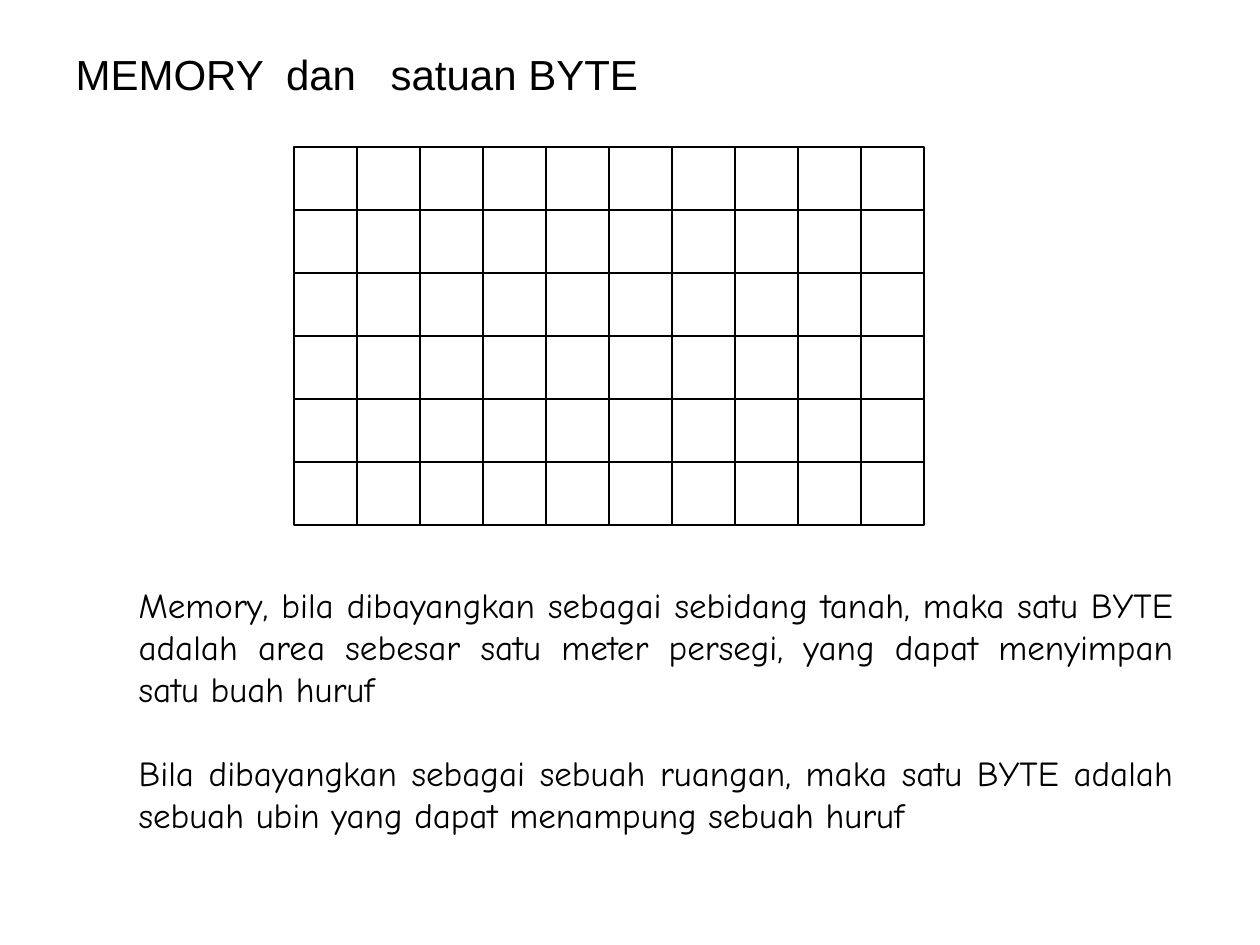
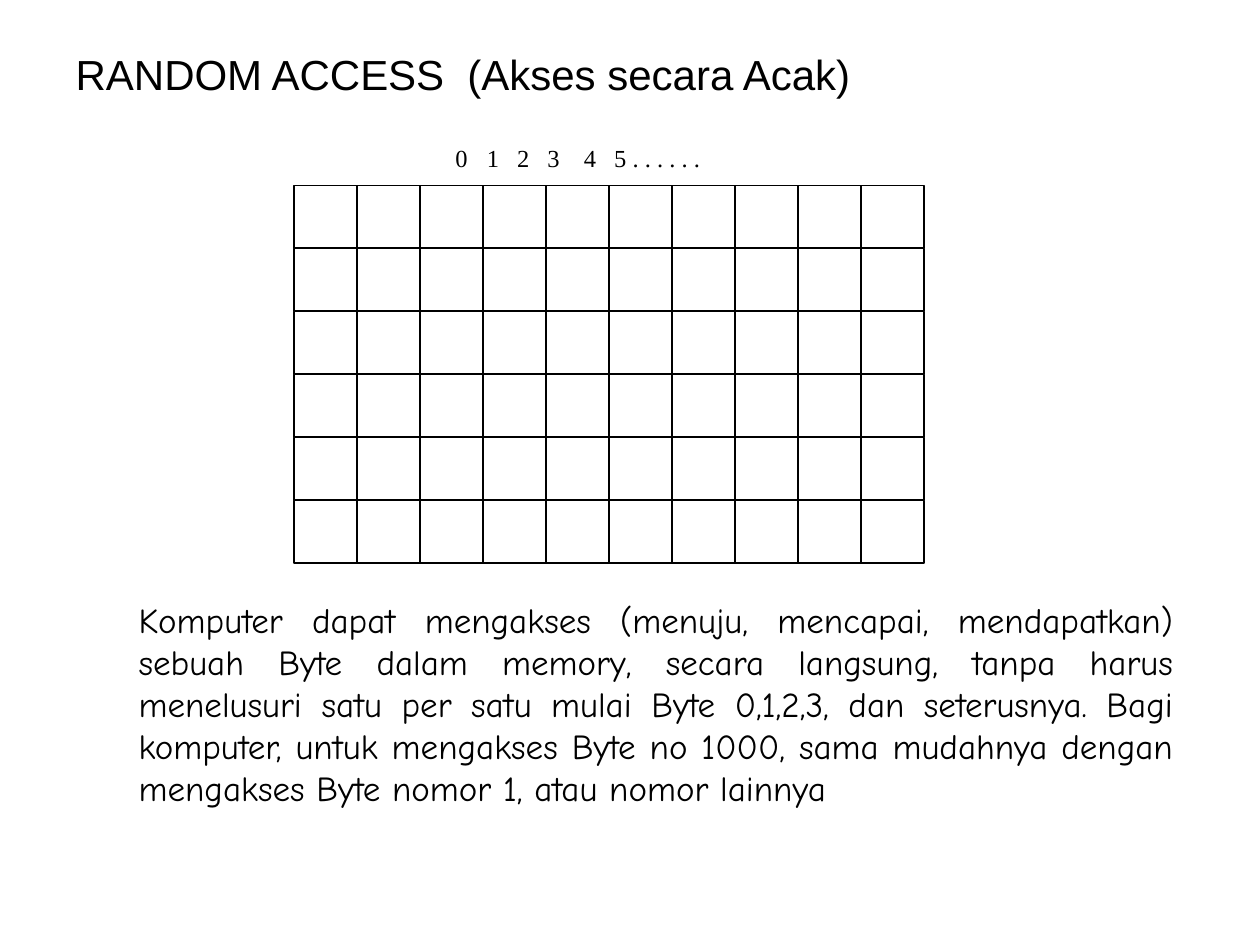
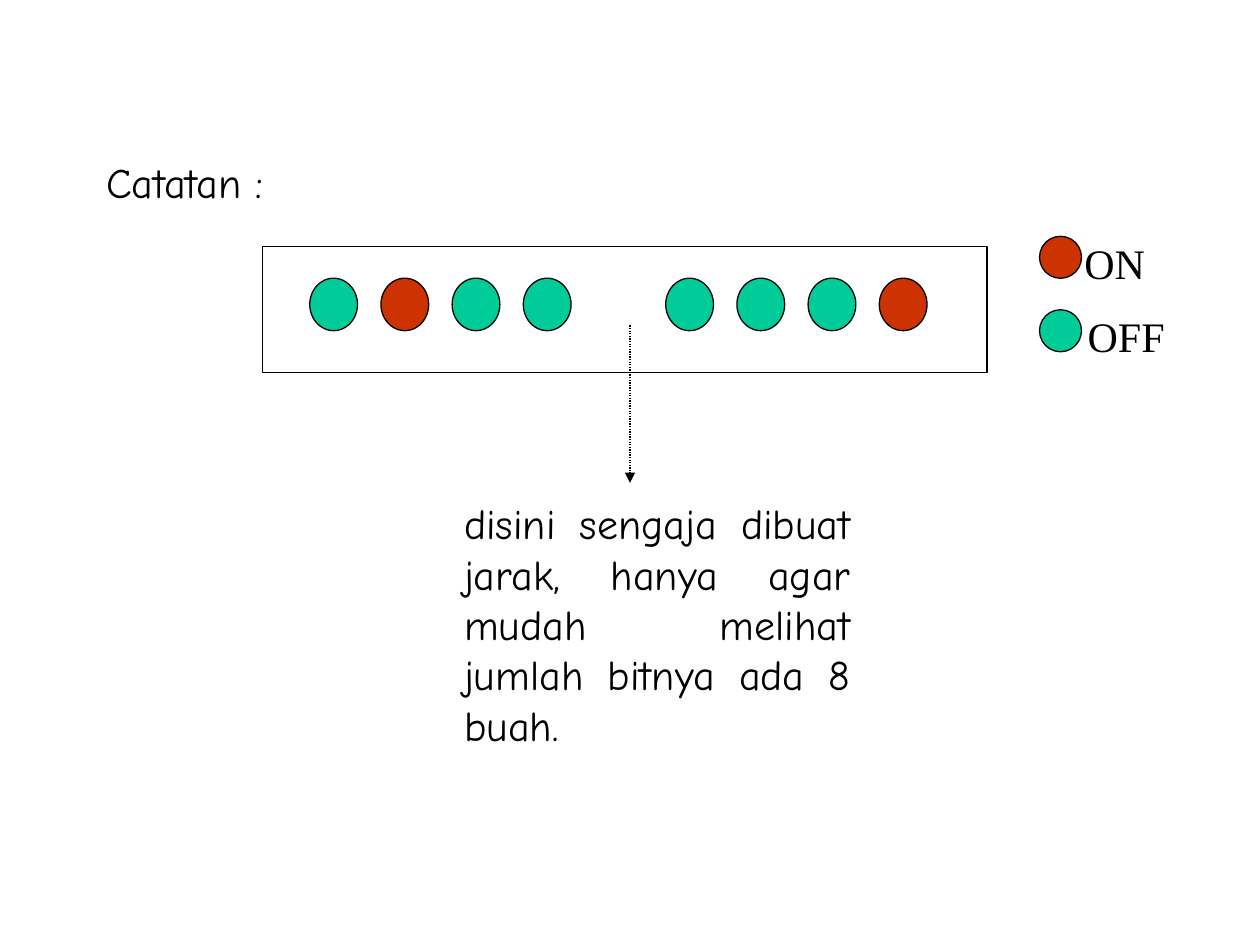
import pptx
import pptx.dml.color
import pptx.enum.dml
import pptx.enum.shapes
import pptx.enum.text
import pptx.oxml
import pptx.oxml.ns
import pptx.util

COLORS = {"ink": "000000", "on": "CC3300", "off": "00CC99"}
FONTS = {"title": "Arial", "body": "Comic Neue", "label": "Times New Roman"}
COLUMNS, ROWS = 120, 90
RECTANGLE = pptx.enum.shapes.MSO_SHAPE.RECTANGLE
OVAL = pptx.enum.shapes.MSO_SHAPE.OVAL


def color(name):
    return pptx.dml.color.RGBColor.from_string(COLORS[name])


def add_element(parent, tag, **attributes):
    element = pptx.oxml.parse_xml(f"<a:{tag} {pptx.oxml.ns.nsdecls('a')}/>")
    for name, value in attributes.items():
        element.set(name, str(value))
    parent.append(element)
    return element


def write_text(box, text, *, font, size, justify=False, wrap=True, gap=0, tabs=()):
    """Fill a box, one paragraph a line; gap is in points, tabs are in inches."""
    frame = box.text_frame
    frame.word_wrap = wrap
    frame.auto_size = pptx.enum.text.MSO_AUTO_SIZE.NONE
    frame.vertical_anchor = pptx.enum.text.MSO_ANCHOR.TOP
    align = pptx.enum.text.PP_ALIGN
    for index, line in enumerate(text.split("\n")):
        para = frame.add_paragraph() if index else frame.paragraphs[0]
        para.alignment = align.JUSTIFY if justify else align.LEFT
        para.space_before = pptx.util.Pt(gap if index else 0)
        properties = para._p.get_or_add_pPr()
        if tabs:  # an explicit indent would make LibreOffice drop the tab stops
            stops = add_element(properties, "tabLst")
            for stop in tabs:
                add_element(stops, "tab", pos=pptx.util.Inches(stop), algn="l")
        else:
            properties.set("marL", "0")
            properties.set("indent", "0")
            add_element(properties, "buNone")
        span = para.add_run()
        span.text = line
        span.font.name = FONTS[font]
        span.font.size = pptx.util.Pt(size)
        span.font.color.rgb = color("ink")


class Board:
    """Draws on the current page; places are in columns and rows of its grid."""

    def __init__(self):
        self.deck = pptx.Presentation()
        self.deck.slide_width = pptx.util.Inches(10)
        self.deck.slide_height = pptx.util.Inches(7.5)
        self.page = None

    def place(self, column, row):
        return (round(column * self.deck.slide_width / COLUMNS),
                round(row * self.deck.slide_height / ROWS))

    def new_page(self):
        self.page = self.deck.slides.add_slide(self.deck.slide_layouts[1])

    def fill_placeholder(self, index, text, area, **style):
        box = self.page.placeholders[index]
        box.left, box.top = self.place(*area[:2])
        box.width, box.height = self.place(*area[2:])
        write_text(box, text, **style)

    def title(self, text, area, font="title", **style):
        self.fill_placeholder(0, text, area, font=font, size=24, **style)

    def body(self, text, area, size=20):
        self.fill_placeholder(1, text, area, font="body", size=size, justify=True, gap=24)

    def label(self, text, area, **style):
        box = self.page.shapes.add_textbox(*self.place(*area[:2]), *self.place(*area[2:]))
        write_text(box, text, font="label", wrap=False, **style)

    def shape(self, kind, area, fill=None, group=None):
        shapes = (group or self.page).shapes
        shape = shapes.add_shape(kind, *self.place(*area[:2]), *self.place(*area[2:]))
        shape.shadow.inherit = False
        if fill:
            shape.fill.solid()
            shape.fill.fore_color.rgb = color(fill)
        else:
            shape.fill.background()
        shape.line.color.rgb = color("ink")
        shape.line.width = pptx.util.Pt(0.75)

    def memory_grid(self, top, left=28, cell=6, across=10, down=6):
        for row in range(down):
            for column in range(across):
                self.shape(RECTANGLE, (left + column * cell, top + row * cell, cell, cell))

    def dotted_arrow(self, start, end):
        arrow = self.page.shapes.add_connector(
            pptx.enum.shapes.MSO_CONNECTOR.STRAIGHT, *self.place(*start), *self.place(*end))
        arrow.line.color.rgb = color("ink")
        arrow.line.width = pptx.util.Pt(0.75)
        arrow.line.dash_style = pptx.enum.dml.MSO_LINE.ROUND_DOT
        add_element(arrow.line._get_or_add_ln(), "tailEnd", type="triangle")
        add_element(arrow._element.spPr, "effectLst")


def memory_page(board):
    board.new_page()
    board.title("MEMORY\tdan\tsatuan BYTE", (6, 4, 69, 6), tabs=(1.67, 2.5))
    board.memory_grid(top=14)
    board.body(
        "Memory, bila dibayangkan sebagai sebidang tanah, maka satu BYTE adalah area "
        "sebesar satu meter persegi, yang dapat menyimpan satu buah huruf\n"
        "Bila dibayangkan sebagai sebuah ruangan, maka satu BYTE adalah sebuah ubin "
        "yang dapat menampung sebuah huruf", (12, 55, 101, 25.2))


def random_access_page(board):
    board.new_page()
    board.title("RANDOM ACCESS\t(Akses secara Acak)", (6, 4, 96, 6), tabs=(3.11,))
    board.memory_grid(top=17.64)
    board.label("0\t1\t2\t3\t4\t5 . . . . . .", (42.2, 13, 26.4, 4), size=14,
                tabs=(0.25, 0.49, 0.73, 1.02, 1.26))
    board.body(
        "Komputer dapat mengakses (menuju, mencapai, mendapatkan) sebuah Byte dalam "
        "memory, secara langsung, tanpa harus menelusuri satu per satu mulai Byte "
        "0,1,2,3, dan seterusnya. Bagi komputer, untuk mengakses Byte no 1000, sama "
        "mudahnya dengan mengakses Byte nomor 1, atau nomor lainnya",
        (12, 56.4, 101, 21.2))


def bits_page(board):
    board.new_page()
    board.title("Catatan :", (8.9, 14.3, 17.5, 6), font="body", wrap=False)
    byte = board.page.shapes.add_group_shape()
    for slot, bit in enumerate("0100 0001"):
        if bit != " ":
            board.shape(OVAL, (29.5 + slot * 6.78, 26.5, 4.55, 5),
                        "on" if bit == "1" else "off", byte)
    board.shape(RECTANGLE, (25, 23.5, 69, 12), group=byte)
    for state, top, left, width in (("on", 22.5, 102.1, 8.2), ("off", 29.5, 102.4, 9.7)):
        board.shape(OVAL, (99, top, 4, 4), state)
        board.label(state.upper(), (left, top - 0.5, width, 6), size=24)
    board.dotted_arrow((60, 31), (60, 46))
    board.body("disini sengaja dibuat jarak, hanya agar mudah melihat jumlah bitnya "
               "ada 8 buah.", (43, 46.8, 39.2, 25.2), size=24)


def main():
    board = Board()
    memory_page(board)
    random_access_page(board)
    bits_page(board)
    board.deck.save("out.pptx")


if __name__ == "__main__":
    main()
